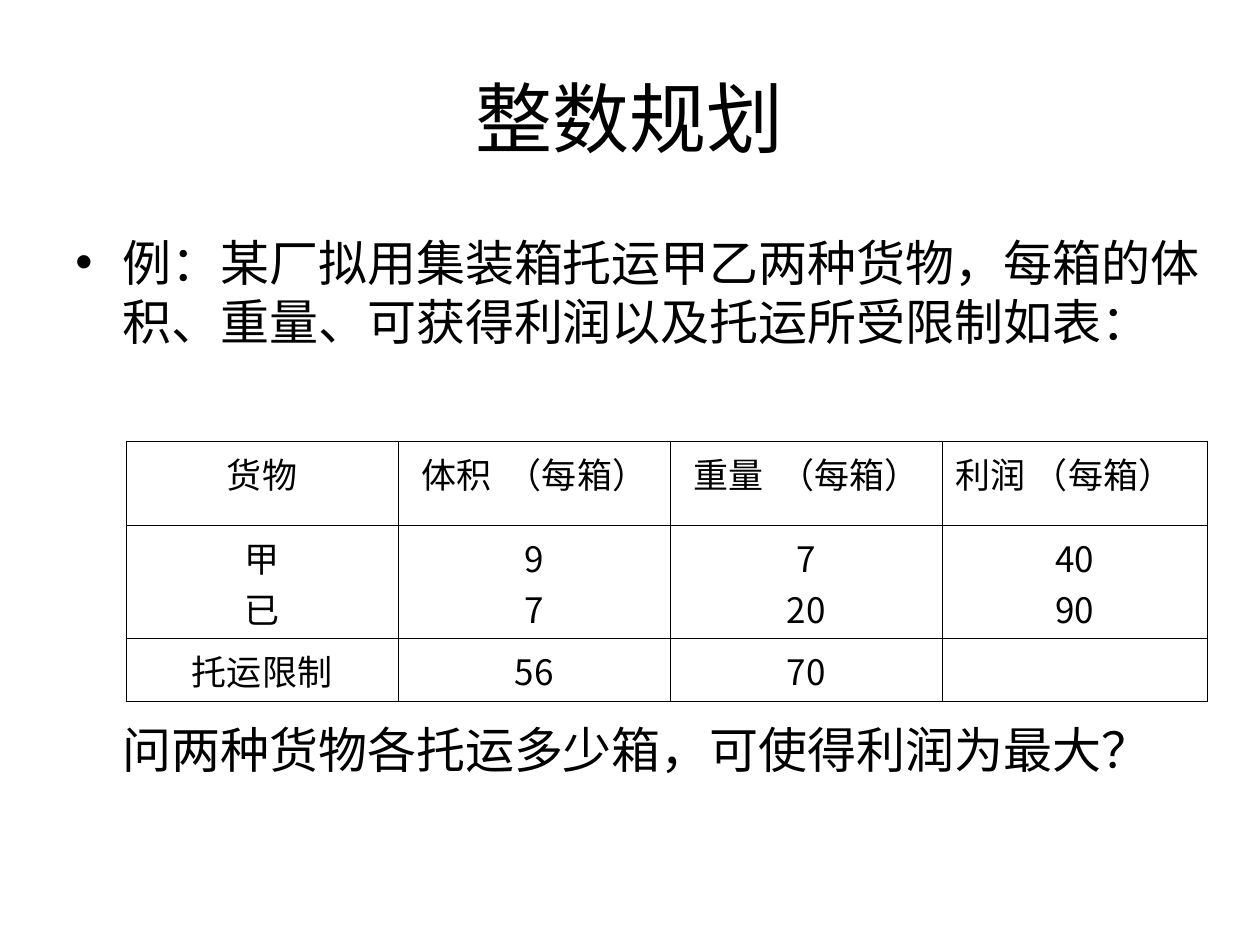
from lxml import etree
from pptx import Presentation, util as u
from pptx.dml.color import RGBColor
from pptx.enum import text
from pptx.oxml.ns import qn

HUES = {"ink": "000000", "page": "FFFFFF"}
HAN = "Noto Sans CJK SC"
HANG = 0.375
MID = text.PP_ALIGN.CENTER
LEFT = text.PP_ALIGN.LEFT


class Deck:
    def __init__(self, wide, high):
        self.prs = Presentation()
        self.prs.slide_width = u.Inches(wide)
        self.prs.slide_height = u.Inches(high)
        self.slide = self.prs.slides.add_slide(self.prs.slide_layouts[6])
        fill = self.slide.background.fill
        fill.solid()
        fill.fore_color.rgb = self.hue("page")

    def hue(self, name):
        return RGBColor.from_string(HUES[name])

    def font(self, font, size, face):
        font.size, font.name = u.Pt(size), face
        font.color.rgb = self.hue("ink")

    def put(self, para, runs, size, align=LEFT):
        """Fill a paragraph with (words, face) runs."""
        para.alignment = align
        for words, face in runs:
            run = para.add_run()
            run.text = words
            self.font(run.font, size, face)
            east = etree.SubElement(run.font._element, qn("a:ea"))
            east.set("typeface", HAN)

    def box(self, x, y, w, h, top=0.05):
        area = [u.Inches(v) for v in (x, y, w, h)]
        frame = self.slide.shapes.add_textbox(*area).text_frame
        frame.word_wrap = True
        frame.margin_top = u.Inches(top)
        return frame

    def title(self, words, *area):
        frame = self.box(*area)
        frame.vertical_anchor = text.MSO_ANCHOR.MIDDLE
        self.put(frame.paragraphs[0], [(words, "Arial")], 44, MID)

    def body(self, items, area, pitch):
        """Each item is (runs, bullet, points before)."""
        frame = self.box(*area, top=0.09)
        for i, (runs, mark, gap) in enumerate(items):
            para = frame.add_paragraph() if i else frame.paragraphs[0]
            props = para._p.get_or_add_pPr()
            props.set("marL", str(u.Inches(HANG)))
            props.set("indent", str(-u.Inches(HANG) if mark else 0))
            if mark:
                face = etree.SubElement(props, qn("a:buFont"))
                face.set("typeface", "Arial")
                etree.SubElement(props, qn("a:buChar")).set("char", mark)
            para.line_spacing = u.Pt(pitch)
            para.space_before = u.Pt(gap)
            self.put(para, runs, 28)

    def edge(self, cell):
        props = cell._tc.get_or_add_tcPr()
        for i, side in enumerate(("lnL", "lnR", "lnT", "lnB")):
            line = etree.Element(qn("a:" + side), w=str(u.Pt(0.45)))
            fill = etree.SubElement(line, qn("a:solidFill"))
            etree.SubElement(fill, qn("a:srgbClr"), val=HUES["ink"])
            props.insert(i, line)

    def table(self, rows, x, y, wides, highs):
        area = [u.Inches(v) for v in (x, y, sum(wides), sum(highs))]
        grid = self.slide.shapes.add_table(len(rows), len(wides), *area).table
        grid.first_row = grid.horz_banding = False
        for col, wide in zip(grid.columns, wides):
            col.width = u.Inches(wide)
        for row, high, cells in zip(grid.rows, highs, rows):
            row.height = u.Inches(high)
            for cell, words in zip(row.cells, cells):
                cell.fill.background()
                self.edge(cell)
                frame = cell.text_frame
                for i, line in enumerate(words.split("\n")):
                    para = frame.add_paragraph() if i else frame.paragraphs[0]
                    if line:
                        align = LEFT if line.startswith("利润") else MID
                        self.put(para, [(line, HAN)], 20, align)
                    else:
                        self.font(para.font, 20, HAN)


def main():
    deck = Deck(10, 7.5)

    # Heading
    deck.title("整数规划", 0.5, 0.3, 9, 1.25)

    # Problem above the table, question below it
    serif = "Times New Roman"
    task = [
        ("例：", "Arial"),
        ("某厂拟用集装箱托运甲乙两种货物，每箱的体积、重量、"
         "可获得利润以及托运所受限制如表：", serif),
    ]
    ask = [("问两种货物各托运多少箱，可使得利润为最大？", serif)]
    deck.body([(task, "•", 0), (ask, None, 211)],
              (0.5, 1.75, 9.17, 4.95), 33.7)

    # Goods data
    rows = [
        ("货物", "体积  （每箱）", "重量  （每箱）", "利润 （每箱）"),
        ("甲\n已", "9\n7", "7\n20", "40\n90"),
        ("托运限制", "56", "70", ""),
    ]
    deck.table(rows, 1, 3.5, [2.16] * 3 + [2.1], [0.67, 0.9, 0.5])

    deck.prs.save("out.pptx")


if __name__ == "__main__":
    main()
